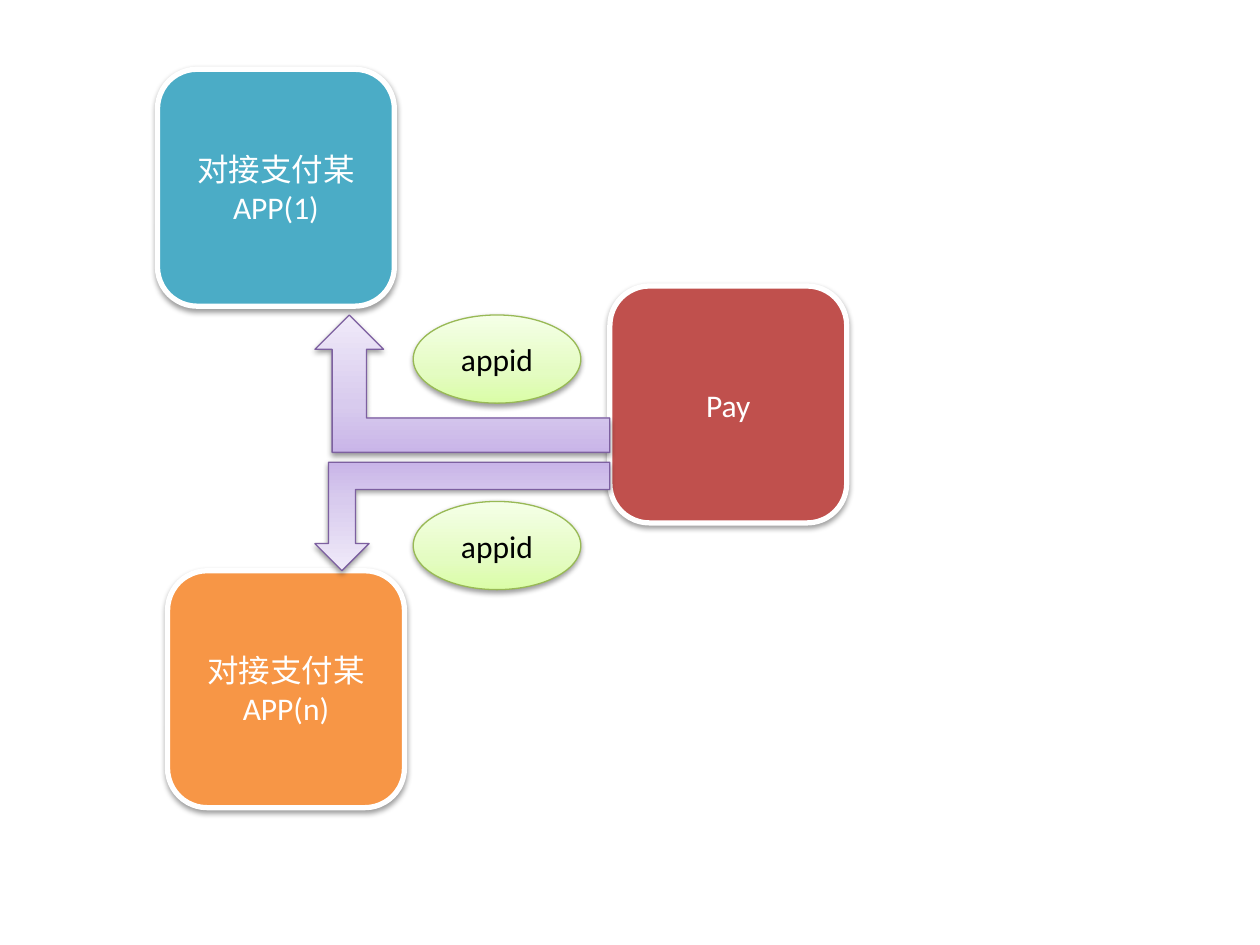
from copy import deepcopy

from lxml.etree import SubElement
from pptx import Presentation
from pptx.dml.color import RGBColor
from pptx.enum.shapes import MSO_SHAPE
from pptx.enum.text import MSO_ANCHOR, PP_ALIGN
from pptx.oxml.ns import qn
from pptx.util import Inches, Pt


def color(value):
    return RGBColor.from_string(value)


def add_styled_shape(kind, box, fills, line_color, line_width, text="", text_color="FFFFFF"):
    shape = slide.shapes.add_shape(kind, *[Inches(length) for length in box])
    if len(fills) == 1:
        shape.fill.solid()
        shape.fill.fore_color.rgb = color(fills[0])
    else:
        shape.fill.gradient()
        shape.fill.gradient_angle = 90
        stop_list = shape._element.spPr.find(".//" + qn("a:gsLst"))
        stop_list.append(deepcopy(stop_list[-1]))
        for stop, value, position in zip(shape.fill.gradient_stops, fills, (0, 0.35, 1)):
            stop.color.rgb = color(value)
            stop.position = position
    shape.line.color.rgb = color(line_color)
    shape.line.width = Pt(line_width)

    shape.shadow.inherit = False
    effects = shape._element.spPr.find(qn("a:effectLst"))
    shadow = SubElement(effects, qn("a:outerShdw"), blurRad="40000", dist="20000",
                        dir="5400000", rotWithShape="0")
    shadow_color = SubElement(shadow, qn("a:srgbClr"), val="000000")
    SubElement(shadow_color, qn("a:alpha"), val="38000")

    if text:
        frame = shape.text_frame
        frame.word_wrap = True
        frame.vertical_anchor = MSO_ANCHOR.MIDDLE
        paragraph = frame.paragraphs[0]
        paragraph.text = text
        paragraph.alignment = PP_ALIGN.CENTER
        paragraph.font.name = "Calibri"
        paragraph.font.size = Pt(18)
        paragraph.font.color.rgb = color(text_color)
    return shape


presentation = Presentation()
presentation.slide_width = Inches(10)
presentation.slide_height = Inches(7.5)
slide = presentation.slides.add_slide(presentation.slide_layouts[6])

systems = [
    (4.84, 2.27, "C0504D", "Pay"),
    (1.25, 0.55, "4BACC6", "对接支付某APP(1)"),
    (1.33, 4.53, "F79646", "对接支付某APP(n)"),
]
for left, top, fill, name in systems:
    add_styled_shape(MSO_SHAPE.ROUNDED_RECTANGLE, (left, top, 1.88, 1.88), [fill],
                     "FFFFFF", 3, name)

purples = ["C9B5E8", "D8CBEE", "F0EAF9"]
for top, height, points_down in [(2.5, 1.09, False), (3.67, 0.86, True)]:
    arrow = add_styled_shape(MSO_SHAPE.BENT_UP_ARROW, (2.5, top, 2.34, height), purples,
                             "7D60A0", 0.75)
    transform = arrow._element.spPr.find(qn("a:xfrm"))
    transform.set("flipH", "1")
    if points_down:
        transform.set("flipV", "1")

greens = ["DAFDA7", "E4FCC2", "F5FFE7"]
for top in (2.5, 3.98):
    add_styled_shape(MSO_SHAPE.OVAL, (3.28, top, 1.33, 0.7), greens,
                     "98B955", 0.75, "appid", "000000")

presentation.save("out.pptx")
